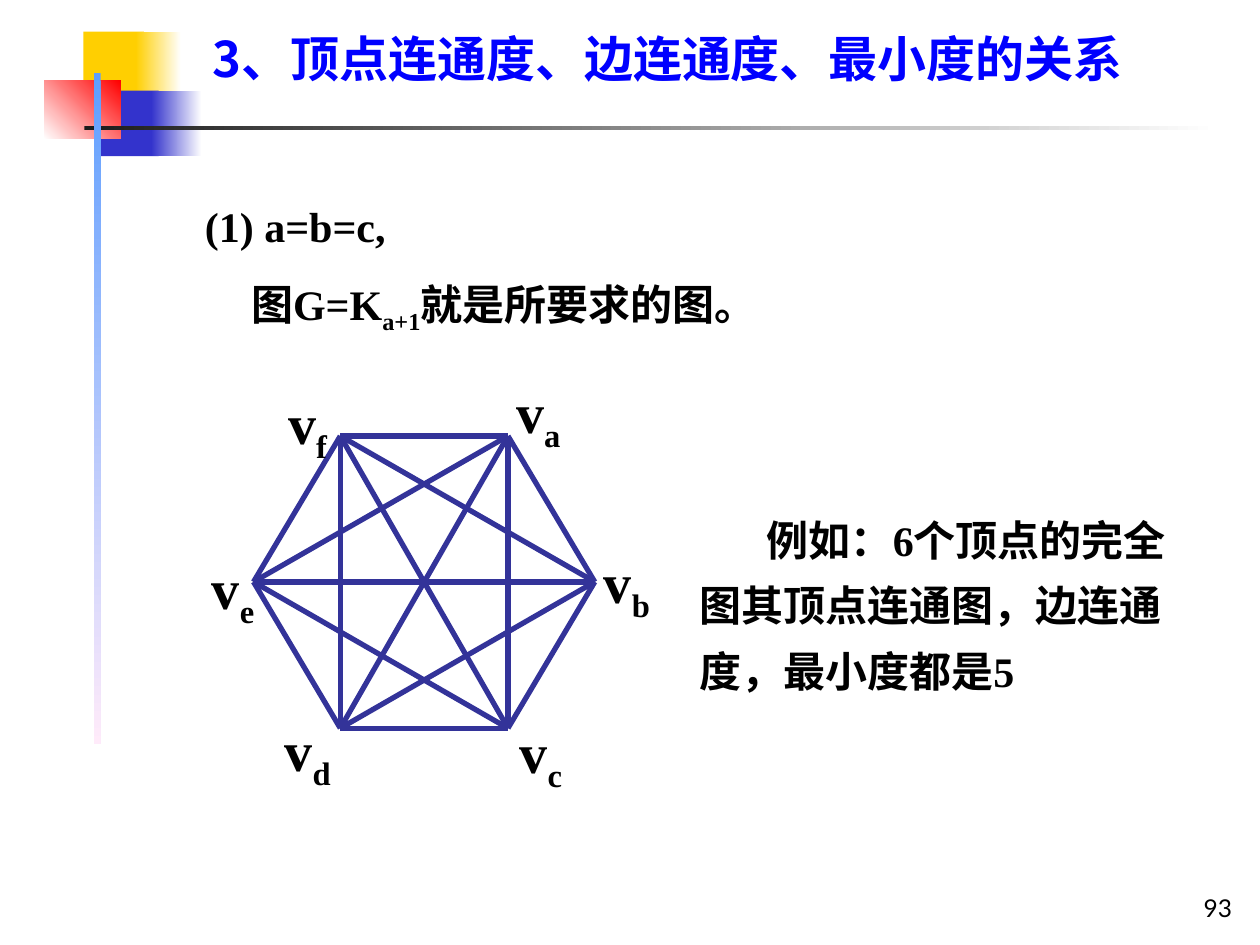
from itertools import combinations

from lxml import etree
from pptx import Presentation
from pptx import util as u
from pptx.dml.color import RGBColor
from pptx.enum import shapes, text
from pptx.oxml.ns import qn

COLORS = {
    "yellow": "FFCF01", "blue": "3333CC", "red": "FF0000", "white": "FFFFFF",
    "charcoal": "1C1C1C", "sky": "5E9EFF", "pink": "FFEBFA",
    "title": "0000FF", "text": "000000", "edge": "333399",
}
SERIF, SANS, NUMBER_FONT = "Times New Roman", "Noto Sans CJK SC", "Lato"

TITLE = "3、顶点连通度、边连通度、最小度的关系"
CASE = [
    (0.42, [("(1) a=b=c,", False)]),
    (1.35, [("图G=K", False), ("a+1", True), ("就是所要求的图。", False)]),
]
EXAMPLE = [(1.36, [("例如：6个顶点的完全图其顶点连通图，边连通度，最小度都是5", False)])]
PAGE_NUMBER = "93"

DECORATIONS = [
    ((1.68, 0.64, 1.22, 1.32), ["yellow"], 0),
    ((2.74, 0.64, 0.91, 1.32), ["yellow", "white"], 0),
    ((2.03, 1.83, 1.17, 1.32), ["blue"], 0),
    ((3.05, 1.83, 1.02, 1.32), ["blue", "white"], 0),
    ((0.89, 1.63, 1.55, 1.17), ["white", "red"], 45),
    ((1.7, 2.54, 22.86, 0.08), ["charcoal", "white"], 0),
    ((1.9, 1.47, 0.13, 13.54), ["sky", "pink"], 270),
]

VERTICES = {
    "a": ((10.24, 8.79), (10.85, 8.38)),
    "b": ((11.99, 11.73), (12.64, 11.8)),
    "c": ((10.24, 14.68), (10.9, 15.23)),
    "d": ((6.86, 14.68), (6.2, 15.2)),
    "e": ((5.11, 11.73), (4.7, 11.92)),
    "f": ((6.86, 8.79), (6.2, 8.61)),
}
LABEL_WIDTH, LABEL_HEIGHT = 1.6, 1.4


def rgb(name):
    return RGBColor.from_string(COLORS[name])


def lengths(box):
    return [u.Cm(value) for value in box]


def format_run(run, size, font, color="text", bold=True, subscript=False):
    run.font.size = u.Pt(size)
    run.font.bold = bold
    run.font.color.rgb = rgb(color)
    run.font.name = font
    properties = run.font._element
    etree.SubElement(properties, qn("a:ea")).set("typeface", SANS)
    if subscript:
        properties.set("baseline", "-25000")


def prepare_frame(shape, wrap=True, anchor=text.MSO_ANCHOR.TOP):
    frame = shape.text_frame
    frame.auto_size = text.MSO_AUTO_SIZE.NONE
    frame.word_wrap = wrap
    frame.vertical_anchor = anchor
    frame.margin_left = frame.margin_right = 0
    frame.margin_top = frame.margin_bottom = 0
    return frame


def place(shape, box):
    shape.left, shape.top, shape.width, shape.height = lengths(box)


def add_decoration(slide, box, colors, angle):
    shape = slide.shapes.add_shape(shapes.MSO_SHAPE.RECTANGLE, *lengths(box))
    shape.shadow.inherit = False
    shape.line.fill.background()
    if len(colors) == 1:
        shape.fill.solid()
        shape.fill.fore_color.rgb = rgb(colors[0])
        return
    shape.fill.gradient()
    shape.fill.gradient_angle = angle
    for position, (stop, color) in enumerate(zip(shape.fill.gradient_stops, colors)):
        stop.position = position
        stop.color.rgb = rgb(color)


def fill_body(shape, box, content):
    place(shape, box)
    frame = prepare_frame(shape)
    for index, (indent, pieces) in enumerate(content):
        paragraph = frame.add_paragraph() if index else frame.paragraphs[0]
        properties = paragraph._p.get_or_add_pPr()
        properties.set("marL", "0")
        properties.set("indent", str(u.Cm(indent)))
        etree.SubElement(properties, qn("a:buNone"))
        paragraph.line_spacing = 1.3
        paragraph.space_before = u.Pt(6 if index else 0)
        for words, subscript in pieces:
            run = paragraph.add_run()
            run.text = words
            format_run(run, 24, SERIF, subscript=subscript)


def add_edge(slide, start, end):
    edge = slide.shapes.add_connector(
        shapes.MSO_CONNECTOR.STRAIGHT, *lengths(start + end))
    edge.line.color.rgb = rgb("edge")
    edge.line.width = u.Pt(3)
    etree.SubElement(edge._element.spPr, qn("a:effectLst"))


def add_label(slide, name, center):
    x, y = center
    box = (x - LABEL_WIDTH / 2, y - LABEL_HEIGHT / 2, LABEL_WIDTH, LABEL_HEIGHT)
    label = slide.shapes.add_textbox(*lengths(box))
    paragraph = prepare_frame(label, False, text.MSO_ANCHOR.MIDDLE).paragraphs[0]
    paragraph.alignment = text.PP_ALIGN.CENTER
    for words, subscript in (("v", False), (name, True)):
        run = paragraph.add_run()
        run.text = words
        format_run(run, 32, SERIF, subscript=subscript)


def main():
    presentation = Presentation()
    presentation.slide_width, presentation.slide_height = u.Cm(25.4), u.Cm(19.05)
    slide = presentation.slides.add_slide(presentation.slide_layouts[3])
    title, case, example = slide.placeholders

    for decoration in DECORATIONS:
        add_decoration(slide, *decoration)

    place(title, (4.29, 0.71, 19, 2.13))
    frame = prepare_frame(title)
    frame.text = TITLE
    paragraph = frame.paragraphs[0]
    paragraph.alignment = text.PP_ALIGN.LEFT
    paragraph.line_spacing = 0.9
    format_run(paragraph.runs[0], 28, SANS, "title")

    fill_body(case, (3.71, 3.73, 13.59, 4.34), CASE)
    fill_body(example, (14.1, 10.06, 9.6, 3.96), EXAMPLE)

    for (start, _), (end, _) in combinations(VERTICES.values(), 2):
        add_edge(slide, start, end)
    for name, (_, center) in VERTICES.items():
        add_label(slide, name, center)

    number = slide.shapes.add_textbox(*lengths((19.81, 17.45, 5.03, 1.14)))
    frame = prepare_frame(number, anchor=text.MSO_ANCHOR.BOTTOM)
    frame.text = PAGE_NUMBER
    frame.paragraphs[0].alignment = text.PP_ALIGN.RIGHT
    format_run(frame.paragraphs[0].runs[0], 14, NUMBER_FONT, bold=False)

    presentation.save("out.pptx")


if __name__ == "__main__":
    main()
